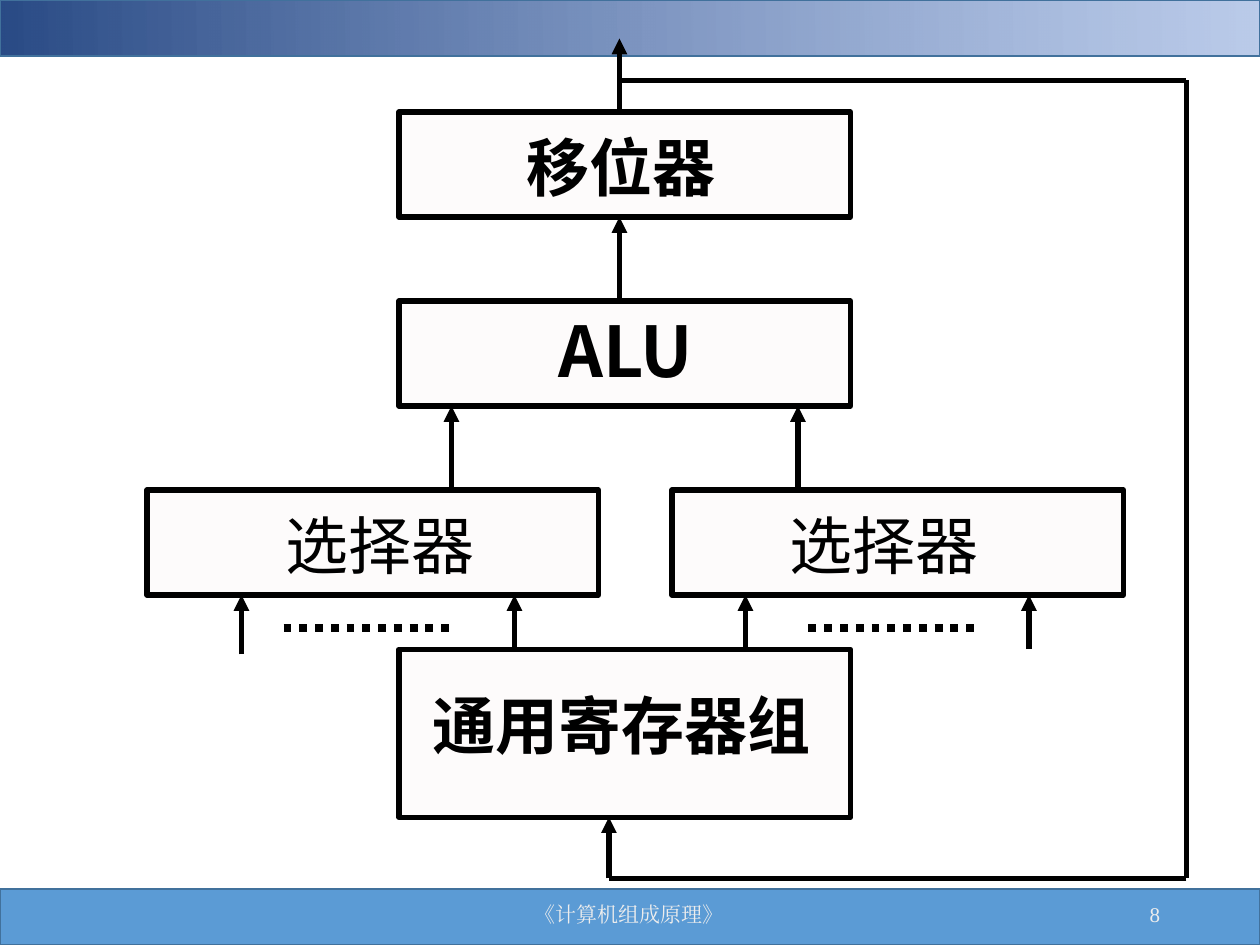
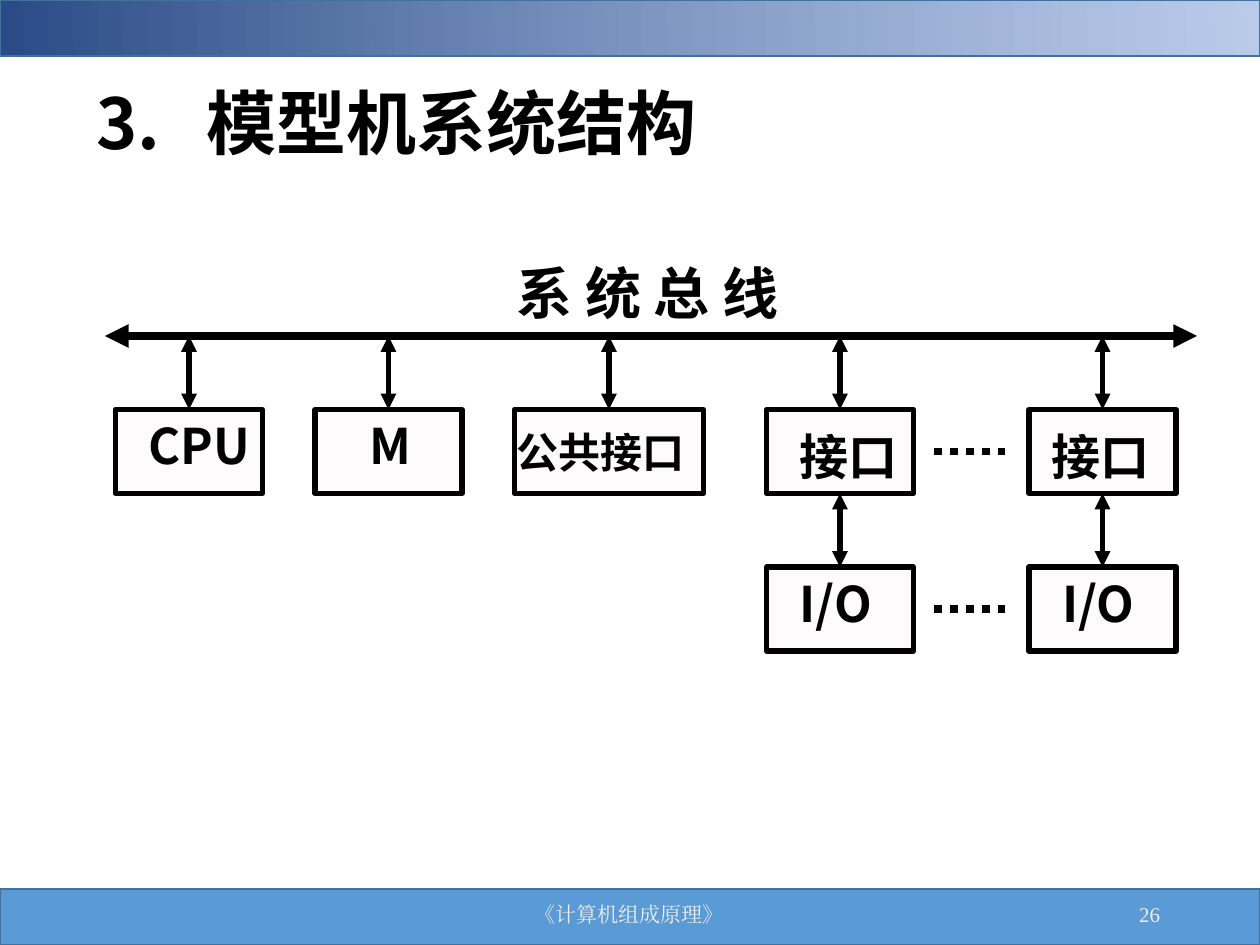
from dataclasses import dataclass

from lxml.etree import SubElement
from pptx import Presentation
from pptx.dml.color import RGBColor
from pptx.enum.dml import MSO_LINE
from pptx.enum.shapes import MSO_CONNECTOR, MSO_SHAPE
from pptx.enum.text import MSO_ANCHOR, MSO_AUTO_SIZE, PP_ALIGN
from pptx.oxml.ns import qn
from pptx.shapes.autoshape import Shape
from pptx.shapes.connector import Connector
from pptx.slide import Slide
from pptx.text.text import _Paragraph as Para
from pptx.util import Pt

BLACK = RGBColor(0x00, 0x00, 0x00)
PALE = RGBColor(0xFD, 0xFB, 0xFB)
BLUE = RGBColor(0x5B, 0x9B, 0xD5)
EDGE = RGBColor(0x41, 0x71, 0x9C)
NAVY = RGBColor(0x2A, 0x4B, 0x86)
LIGHT = RGBColor(0x8F, 0xAA, 0xDC)
GREY = RGBColor(0xED, 0xED, 0xED)
SANS, SERIF = "Noto Sans CJK SC", "Times New Roman"

WIDTH, HEIGHT, BAND = 720, 540, 32
COURSE = "《计算机组成原理》"
TOP, BOTTOM = 0, 2


@dataclass(frozen=True)
class Box:
    x: float
    y: float
    w: float
    h: float


@dataclass(frozen=True)
class Label:
    text: str
    x: float
    y: float
    w: float
    size: float
    bold: bool = True


@dataclass(frozen=True)
class Wire:
    x1: float
    y1: float
    x2: float
    y2: float
    width: float = 3
    head: bool = False
    tail: bool = False
    dotted: bool = False


def add_box(slide: Slide, box: Box, fill: RGBColor = PALE,
            edge: RGBColor = BLACK, width: float = 3) -> Shape:
    shape = slide.shapes.add_shape(
        MSO_SHAPE.RECTANGLE, Pt(box.x), Pt(box.y), Pt(box.w), Pt(box.h))
    shape.shadow.inherit = False
    shape.fill.solid()
    shape.fill.fore_color.rgb = fill
    shape.line.color.rgb = edge
    shape.line.width = Pt(width)
    return shape


def add_wire(slide: Slide, wire: Wire) -> Connector:
    link = slide.shapes.add_connector(
        MSO_CONNECTOR.STRAIGHT,
        Pt(wire.x1), Pt(wire.y1), Pt(wire.x2), Pt(wire.y2))
    link.line.color.rgb = BLACK
    link.line.width = Pt(wire.width)
    if wire.dotted:
        link.line.dash_style = MSO_LINE.ROUND_DOT
    props = link.element.spPr
    for tag, shown in (("a:headEnd", wire.head), ("a:tailEnd", wire.tail)):
        if shown:
            SubElement(props.find(qn("a:ln")), qn(tag), type="triangle")
    SubElement(props, qn("a:effectLst"))
    return link


def set_font(para: Para, name: str, size: float, color: RGBColor,
             bold: bool = False) -> None:
    """Format every run, using the same face for Latin and Chinese."""
    for run in para.runs:
        run.font.color.rgb = color
        style = {"name": name, "size": Pt(size), "bold": bold}
        for key, value in style.items():
            setattr(run.font, key, value)
        SubElement(run.font._element, qn("a:ea"), typeface=name)


def add_label(slide: Slide, label: Label, tab: float = 0) -> None:
    """Add a text box one line high, with a tab stop if tab is given."""
    height = 1.2 * label.size + 7.2
    frame = slide.shapes.add_textbox(
        Pt(label.x), Pt(label.y), Pt(label.w), Pt(height)).text_frame
    frame.word_wrap = True
    frame.auto_size = MSO_AUTO_SIZE.SHAPE_TO_FIT_TEXT
    para = frame.paragraphs[0]
    para.text = label.text
    if tab:
        stops = SubElement(para._p.get_or_add_pPr(), qn("a:tabLst"))
        SubElement(stops, qn("a:tab"), pos=str(Pt(tab)), algn="l")
    set_font(para, SANS, label.size, BLACK, label.bold)


def add_bands(slide: Slide) -> None:
    add_box(slide, Box(0, HEIGHT - BAND, WIDTH, BAND), BLUE, EDGE, 1)
    band = add_box(slide, Box(0, 0, WIDTH, BAND), NAVY, EDGE, 1)
    band.fill.gradient()
    band.fill.gradient_angle = 1
    for stop, color in zip(band.fill.gradient_stops, (NAVY, LIGHT)):
        stop.color.rgb = color
    last = band.element.spPr.findall(".//" + qn("a:srgbClr"))
    light = next(clr for clr in last if clr.get("val") == str(LIGHT))
    SubElement(light, qn("a:alpha"), val="61000")


def add_footer(slide: Slide, number: int) -> None:
    parts = ((COURSE, 238, 243, PP_ALIGN.CENTER),
             (str(number), 508, 162, PP_ALIGN.RIGHT))
    for text, left, width, align in parts:
        frame = slide.shapes.add_textbox(
            Pt(left), Pt(HEIGHT - BAND), Pt(width), Pt(29)).text_frame
        frame.word_wrap = True
        frame.vertical_anchor = MSO_ANCHOR.MIDDLE
        para = frame.paragraphs[0]
        para.text = text
        para.alignment = align
        set_font(para, SERIF, 12, GREY)


def add_page(deck: Presentation) -> Slide:
    slide = deck.slides.add_slide(deck.slide_layouts[6])
    add_bands(slide)
    return slide


def draw_path(slide: Slide) -> None:
    """Draw the data path from the registers through the ALU and back."""
    wide, tall = 258, 60
    mid, shift, alu, pick, bank = 228, 64, 172, 280, 371
    for left, top, height in ((mid, shift, tall), (mid, alu, tall),
                              (84, pick, tall), (384, pick, tall),
                              (mid, bank, 96)):
        add_box(slide, Box(left, top, wide, height))

    for label in (Label("移位器", 294, shift + 6, 132, 36),
                  Label("ALU", 312, alu, 94, 40),
                  Label("选择器", 156, pick + 6, 138, 36, False),
                  Label("选择器", 444, pick + 6, 132, 36, False),
                  Label("通用寄存器组", 240, bank + 18, 240, 36)):
        add_label(slide, label)

    out, back, side, high, low = 354, 348, 678, 46, 502
    arrows = [(x, bank, pick + tall) for x in (294, 426, 588)]
    arrows += [(138, bank + 3, pick + tall)]
    arrows += [(x, pick, alu + tall) for x in (258, 456)]
    arrows += [(out, alu, shift + tall), (out, shift, 22),
               (back, low, bank + 96)]
    for x, start, end in arrows:
        add_wire(slide, Wire(x, start, x, end, tail=True))

    loop = ((out, high), (side, high), (side, low), (back, low))
    for start, end in zip(loop, loop[1:]):
        add_wire(slide, Wire(*start, *end))
    for x in (162, 462):
        add_wire(slide, Wire(x, 359, x + 96, 359, 4.5, dotted=True))


def draw_bus(slide: Slide) -> None:
    """Draw the system bus with the units that hang from it."""
    add_label(slide, Label("3.\t模型机系统结构", 48, 42, 498, 40), tab=63)
    add_label(slide, Label("系 统 总 线", 288, 144, 208, 32))
    bus, unit, port, tall = 192, 234, 324, 48
    add_wire(slide, Wire(60, bus, 684, bus, 4.5, head=True, tail=True))

    units = ((66, 84, Label("CPU", 78, unit, 78, 28)),
             (180, 84, Label("M", 204, unit, 54, 28)),
             (294, 108, Label("公共接口", 288, unit + 6, 120, 24)),
             (438, 84, Label("接口", 450, unit + 6, 78, 28)),
             (588, 84, Label("接口", 594, unit + 6, 78, 28)))
    boxes = []
    for left, width, label in units:
        box = add_box(slide, Box(left, unit, width, tall))
        boxes.append(box)
        add_label(slide, label)
        x = left + width / 2
        link = add_wire(slide, Wire(x, bus, x, unit, head=True, tail=True))
        link.end_connect(box, TOP)

    for upper, left, text_x in zip(boxes[-2:], (438, 588), (450, 600)):
        lower = add_box(slide, Box(left, port, 84, tall))
        add_label(slide, Label("I/O", text_x, port, 78, 28))
        x = left + 42
        link = add_wire(
            slide, Wire(x, unit + tall, x, port, head=True, tail=True))
        link.begin_connect(upper, BOTTOM)
        link.end_connect(lower, TOP)

    for top in (unit, port):
        y = top + tall / 2
        add_wire(slide, Wire(534, y, 576, y, 4.5, dotted=True))


def main() -> None:
    deck = Presentation()
    deck.slide_width, deck.slide_height = Pt(WIDTH), Pt(HEIGHT)
    for number, draw in ((8, draw_path), (26, draw_bus)):
        slide = add_page(deck)
        draw(slide)
        add_footer(slide, number)
    deck.save("out.pptx")


if __name__ == "__main__":
    main()
